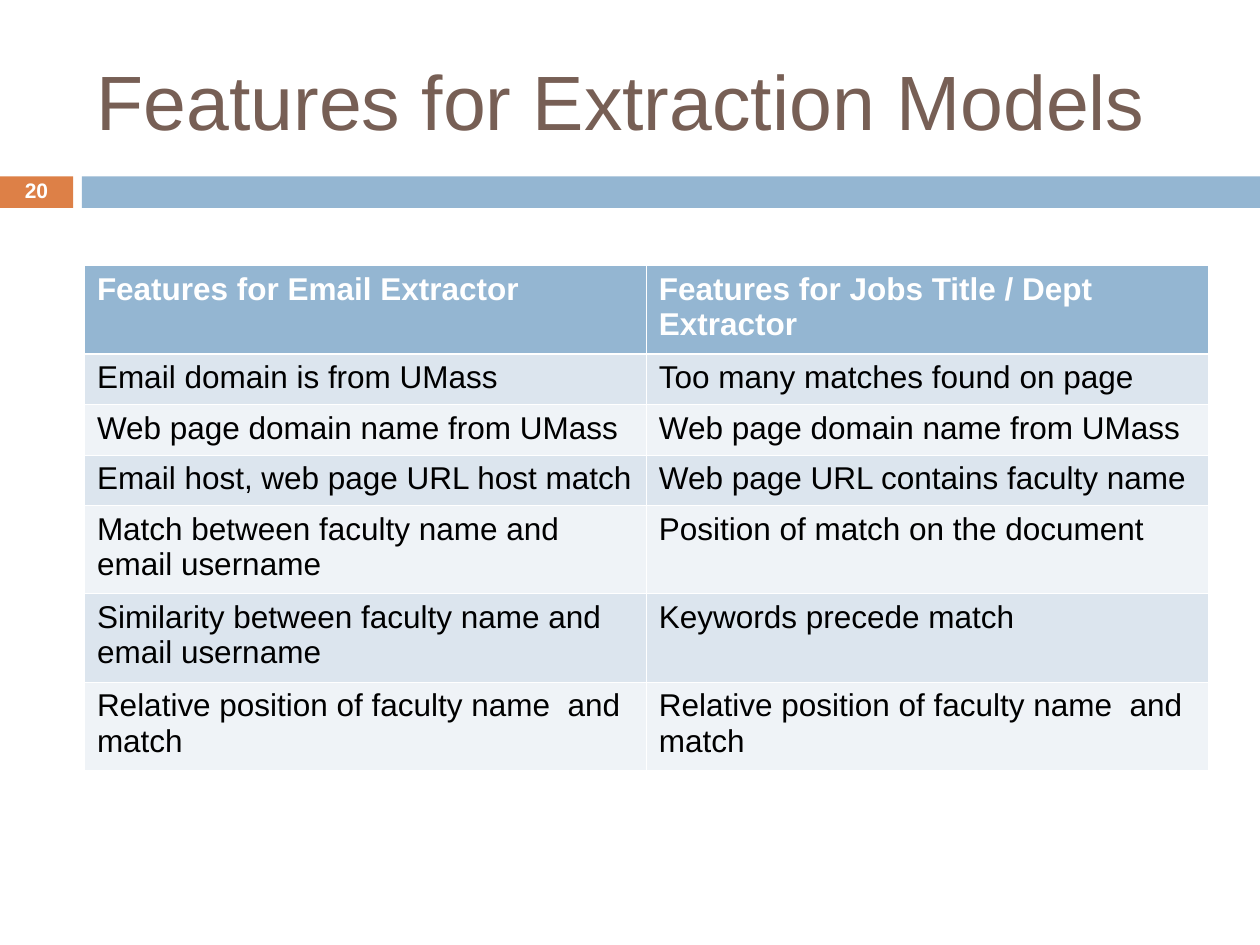
"""Build the slide listing the features used by the extraction models."""
from lxml.etree import SubElement
from pptx import Presentation
from pptx.dml.color import RGBColor
from pptx.enum.shapes import MSO_SHAPE as Shape
from pptx.enum.text import MSO_ANCHOR as Anchor, PP_ALIGN as Align
from pptx.oxml.ns import qn
from pptx.util import Inches, Pt

TITLE = "Features for Extraction Models"
PAGE_NUMBER = "20"
FEATURES = [
    ("Features for Email Extractor", "Features for Jobs Title / Dept Extractor"),
    ("Email domain is from UMass", "Too many matches found on page"),
    ("Web page domain name from UMass", "Web page domain name from UMass"),
    ("Email host, web page URL host match", "Web page URL contains faculty name"),
    ("Match between faculty name and email username", "Position of match on the document"),
    ("Similarity between faculty name and email username", "Keywords precede match"),
    ("Relative position of faculty name  and match", "Relative position of faculty name  and match"),
]
TALL_ROWS = {0, 4, 5, 6}
TALL, SHORT = 0.7, 0.4

FONT = "Arial"
WHITE = RGBColor(0xFF, 0xFF, 0xFF)
BLACK = RGBColor(0x00, 0x00, 0x00)
BROWN = RGBColor(0x77, 0x5F, 0x55)
ORANGE = RGBColor(0xDD, 0x80, 0x47)
BLUE = RGBColor(0x94, 0xB6, 0xD2)
BANDS = (RGBColor(0xEF, 0xF3, 0xF7), RGBColor(0xDC, 0xE5, 0xEE))

WIDTH, HEIGHT = 10, 7.5
LEFT, CONTENT_WIDTH = 0.67, 8.92
BAR_TOP, BAR_HEIGHT = 1.4, 0.25
BADGE_WIDTH, BAR_LEFT = 0.58, 0.65
THIN, THICK = 0.45, 1.47


def style(paragraph, size, color, bold=False):
    font = paragraph.font
    font.name, font.size, font.bold = FONT, Pt(size), bold
    font.color.rgb = color


def add_bar(slide, left, width, color):
    bar = slide.shapes.add_shape(
        Shape.RECTANGLE, *map(Inches, (left, BAR_TOP, width, BAR_HEIGHT)))
    bar.shadow.inherit = False
    bar.fill.solid()
    bar.fill.fore_color.rgb = color
    bar.line.fill.background()


def add_text(slide, text, box, size, color, bold=False):
    frame = slide.shapes.add_textbox(*map(Inches, box)).text_frame
    frame.word_wrap = True
    frame.vertical_anchor = Anchor.MIDDLE
    paragraph = frame.paragraphs[0]
    paragraph.text = text
    style(paragraph, size, color, bold)
    return paragraph


def add_borders(cell, row):
    widths = {"L": THIN, "R": THIN,
              "T": THICK if row == 1 else THIN,
              "B": THICK if row == 0 else THIN}
    properties = cell._tc.get_or_add_tcPr()
    for side, width in widths.items():
        line = SubElement(properties, qn(f"a:ln{side}"), w=str(Pt(width)))
        SubElement(SubElement(line, qn("a:solidFill")), qn("a:srgbClr"), val=str(WHITE))


def add_features(slide):
    heights = [TALL if row in TALL_ROWS else SHORT for row in range(len(FEATURES))]
    columns = len(FEATURES[0])
    table = slide.shapes.add_table(
        len(FEATURES), columns,
        *map(Inches, (LEFT, 2.11, CONTENT_WIDTH, sum(heights)))).table
    for column in table.columns:
        column.width = Inches(CONTENT_WIDTH / columns)
    for row, (features, height) in enumerate(zip(FEATURES, heights)):
        table.rows[row].height = Inches(height)
        header = row == 0
        for column, feature in enumerate(features):
            cell = table.cell(row, column)
            cell.text = feature
            style(cell.text_frame.paragraphs[0], 18, WHITE if header else BLACK, header)
            add_borders(cell, row)
            cell.fill.solid()
            cell.fill.fore_color.rgb = BLUE if header else BANDS[row % 2]


def main():
    deck = Presentation()
    deck.slide_width, deck.slide_height = Inches(WIDTH), Inches(HEIGHT)
    slide = deck.slides.add_slide(deck.slide_layouts[6])
    add_bar(slide, 0, BADGE_WIDTH, ORANGE)
    add_bar(slide, BAR_LEFT, WIDTH - BAR_LEFT, BLUE)
    add_text(slide, TITLE, (LEFT, 0.25, CONTENT_WIDTH, 1.08), 44, BROWN)
    add_features(slide)
    number = add_text(slide, PAGE_NUMBER, (0, 1.39, BADGE_WIDTH, 0.27), 12, WHITE, True)
    number.alignment = Align.CENTER
    number.line_spacing = 0.8
    deck.save("out.pptx")


if __name__ == "__main__":
    main()
